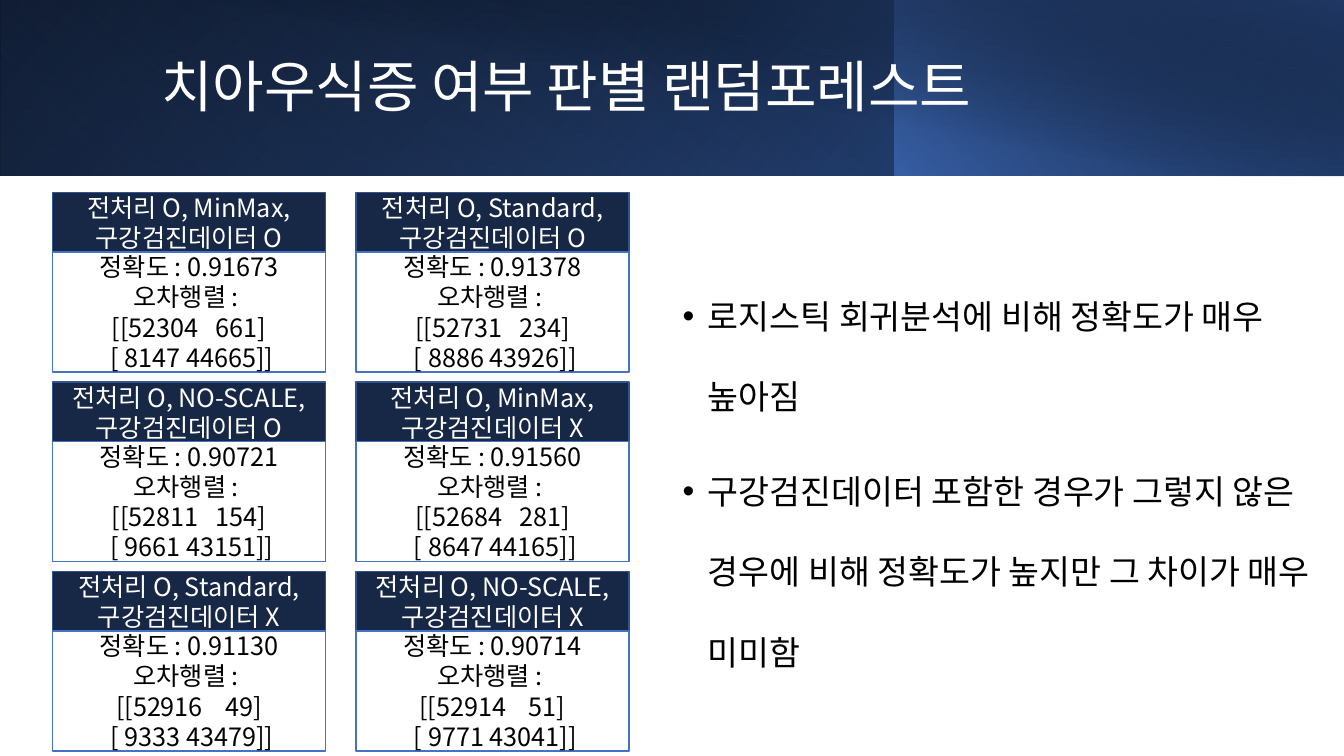
from lxml.etree import SubElement
from pptx import Presentation
from pptx.dml.color import RGBColor
from pptx.enum.shapes import MSO_SHAPE
from pptx.enum.text import MSO_ANCHOR, MSO_AUTO_SIZE, PP_ALIGN
from pptx.oxml.ns import qn
from pptx.util import Inches, Pt

FONT = "Noto Sans CJK KR"
WIDTH, HEIGHT = 13.33, 7.5

TITLE = "치아우식증 여부 판별 랜덤포레스트"
FINDINGS = [
    "로지스틱 회귀분석에 비해 정확도가 매우 높아짐",
    "구강검진데이터 포함한 경우가 그렇지 않은 경우에 비해 정확도가 높지만 그 차이가 매우 미미함",
]
# scaling, oral examination data, accuracy, confusion matrix
RESULTS = [
    ("MinMax", "O", "0.91673", ((52304, 661), (8147, 44665))),
    ("Standard", "O", "0.91378", ((52731, 234), (8886, 43926))),
    ("NO-SCALE", "O", "0.90721", ((52811, 154), (9661, 43151))),
    ("MinMax", "X", "0.91560", ((52684, 281), (8647, 44165))),
    ("Standard", "X", "0.91130", ((52916, 49), (9333, 43479))),
    ("NO-SCALE", "X", "0.90714", ((52914, 51), (9771, 43041))),
]
# left, width, height, rotation, flipped, angle, stops (position, colour, opacity)
BANNER = [
    (0, 13.33, 1.74, 0, True, 140, [(0, "000000", 100), (100, "2F5597", 100)]),
    (0, 8.88, 1.74, 180, True, 230, [(20, "4472C4", 0), (100, "203864", 55)]),
    (8.87, 4.46, 1.74, 0, True, 220, [(0, "4472C4", 66), (100, "000000", 30)]),
    (0.5, 12.83, 1.75, 0, False, 280, [(50, "000000", 0), (99, "203864", 52)]),
]
COLUMNS = 2
GRID_LEFT, GRID_TOP = 0.52, 1.91
COLUMN_STEP, ROW_STEP = 3.01, 1.88
CARD_WIDTH, HEAD_HEIGHT, DETAIL_HEIGHT, DETAIL_OFFSET = 2.71, 0.6, 1.19, 0.59


def rgb(colour):
    return RGBColor.from_string(colour)


def place(shape, left, top, width, height):
    shape.left, shape.top = Inches(left), Inches(top)
    shape.width, shape.height = Inches(width), Inches(height)


def write(shape, lines, size=18, colour="000000", align=PP_ALIGN.LEFT,
          spacing=1.0, before=0, indent=None):
    frame = shape.text_frame
    frame.word_wrap = True
    frame.auto_size = MSO_AUTO_SIZE.NONE
    frame.vertical_anchor = MSO_ANCHOR.MIDDLE
    for number, line in enumerate(lines):
        paragraph = frame.add_paragraph() if number else frame.paragraphs[0]
        paragraph.alignment = align
        paragraph.line_spacing = spacing
        paragraph.space_before = Pt(before)
        if indent:
            properties = paragraph._p.get_or_add_pPr()
            properties.set("marL", str(Inches(indent)))
            properties.set("indent", str(-Inches(indent)))
            SubElement(properties, qn("a:buChar"), char="•")
        run = paragraph.add_run()
        run.text = line
        run.font.size = Pt(size)
        run.font.name = FONT
        run.font.color.rgb = rgb(colour)
        SubElement(run.font._element, qn("a:ea"), typeface=FONT)


def add_box(shapes, left, top, width, height):
    box = shapes.add_shape(MSO_SHAPE.RECTANGLE, Inches(left), Inches(top),
                           Inches(width), Inches(height))
    box.shadow.inherit = False
    return box


def add_banner_layer(shapes, left, width, height, rotation, flipped, angle, stops):
    layer = add_box(shapes, left, 0, width, height)
    layer.rotation = rotation
    layer.line.fill.background()
    if flipped:
        layer.element.spPr.find(qn("a:xfrm")).set("flipH", "1")
    layer.fill.gradient()
    gradient = layer.element.spPr.find(qn("a:gradFill"))
    for child in list(gradient):
        gradient.remove(child)
    stop_list = SubElement(gradient, qn("a:gsLst"))
    for position, colour, opacity in stops:
        stop = SubElement(stop_list, qn("a:gs"), pos=str(position * 1000))
        tint = SubElement(stop, qn("a:srgbClr"), val=colour)
        SubElement(tint, qn("a:alpha"), val=str(opacity * 1000))
    SubElement(gradient, qn("a:lin"), ang=str(angle * 60000), scaled="0")


def add_panel(shapes, left, top, height, fill, line, colour, lines):
    panel = add_box(shapes, left, top, CARD_WIDTH, height)
    panel.fill.solid()
    panel.fill.fore_color.rgb = rgb(fill)
    panel.line.color.rgb = rgb(line)
    panel.line.width = Pt(1)
    write(panel, lines, colour=colour, align=PP_ALIGN.CENTER)


def add_card(shapes, left, top, scaling, oral_data, accuracy, matrix):
    card = shapes.add_group_shape().shapes
    (a, b), (c, d) = matrix
    add_panel(card, left, top, HEAD_HEIGHT, "172746", "325491", "FFFFFF",
              [f"전처리 O, {scaling},", f"구강검진데이터 {oral_data}"])
    add_panel(card, left, top + DETAIL_OFFSET, DETAIL_HEIGHT, "FFFFFF", "4472C4", "000000",
              [f"정확도 : {accuracy}", "오차행렬 : ",
               f"[[{a:>5} {b:>5}]", f" [{c:>5} {d:>5}]]"])


def main():
    deck = Presentation()
    deck.slide_width, deck.slide_height = Inches(WIDTH), Inches(HEIGHT)
    slide = deck.slides.add_slide(deck.slide_layouts[1])
    shapes = slide.shapes
    title, findings = shapes.title, slide.placeholders[1]

    for layer in BANNER:
        add_banner_layer(shapes, *layer)

    place(title, 1.5, 0.32, 10.82, 1.13)
    write(title, [TITLE], size=40, colour="FFFFFF", spacing=0.9)
    place(findings, 6.67, 1.89, 6.57, 5.42)
    write(findings, FINDINGS, size=24, spacing=2.0, before=10, indent=0.25)
    for placeholder in (title, findings):  # bring the text in front of the banner
        shapes.element.append(placeholder.element)

    for number, result in enumerate(RESULTS):
        row, column = divmod(number, COLUMNS)
        add_card(shapes, GRID_LEFT + column * COLUMN_STEP,
                 GRID_TOP + row * ROW_STEP, *result)
    deck.save("out.pptx")


if __name__ == "__main__":
    main()
